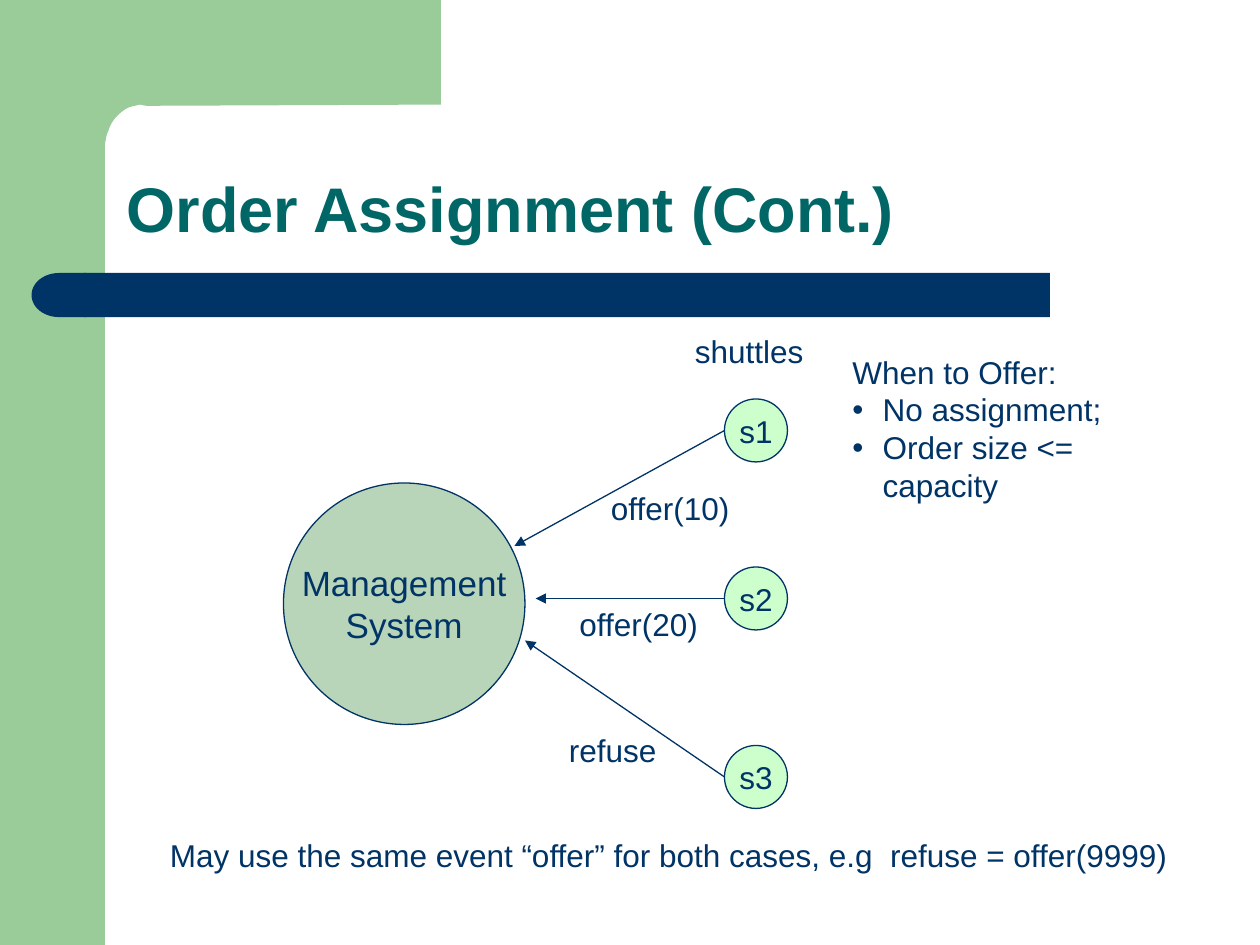
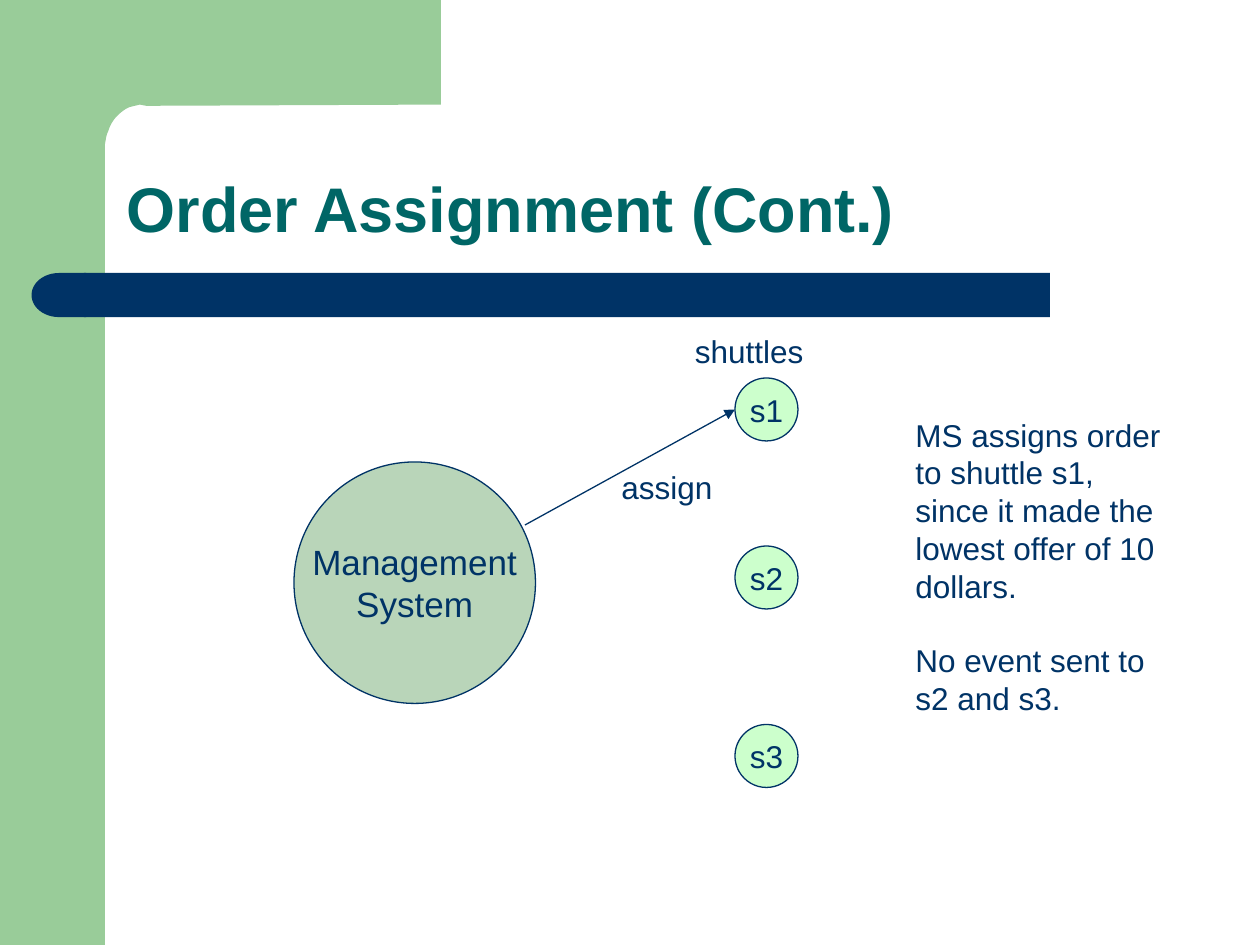
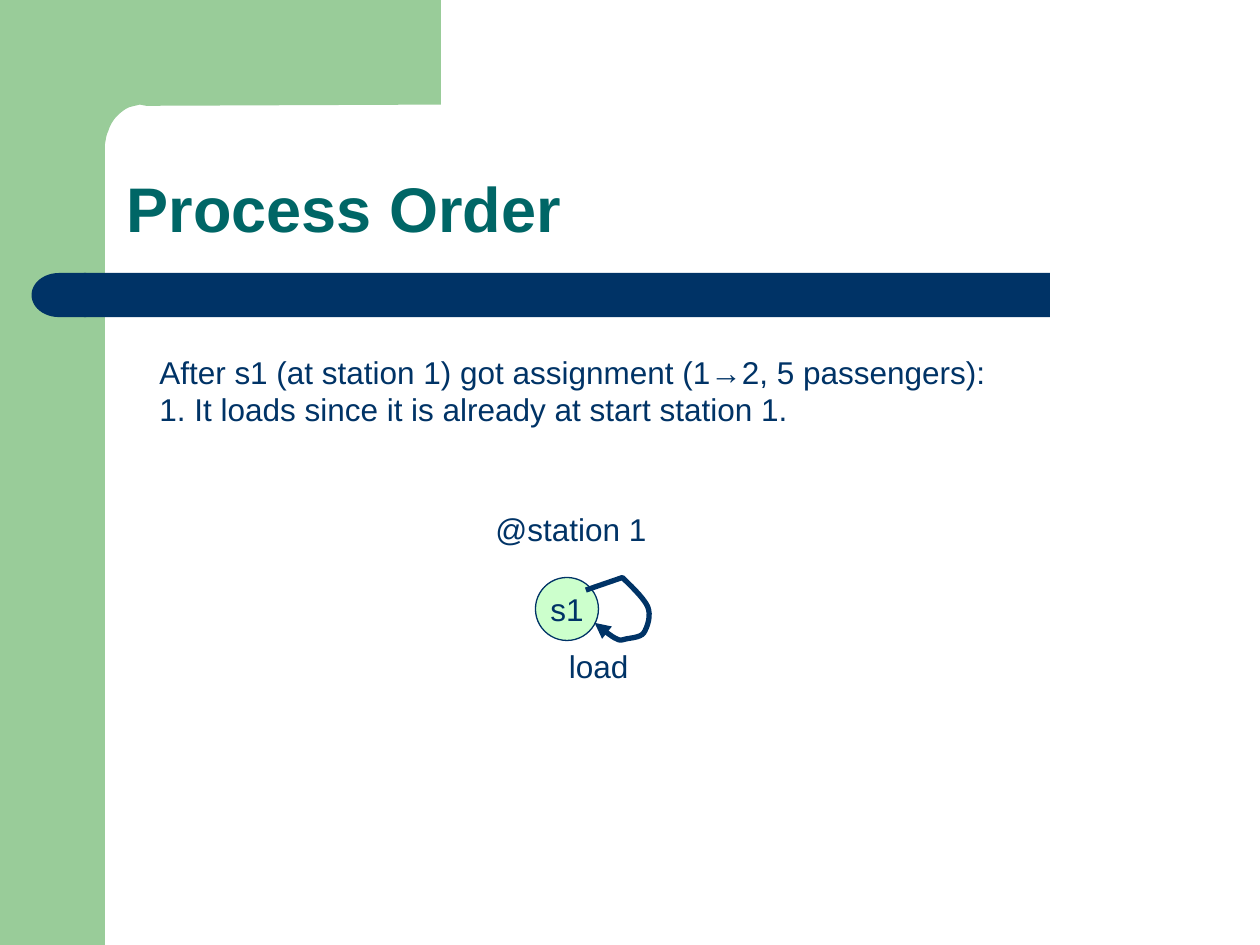
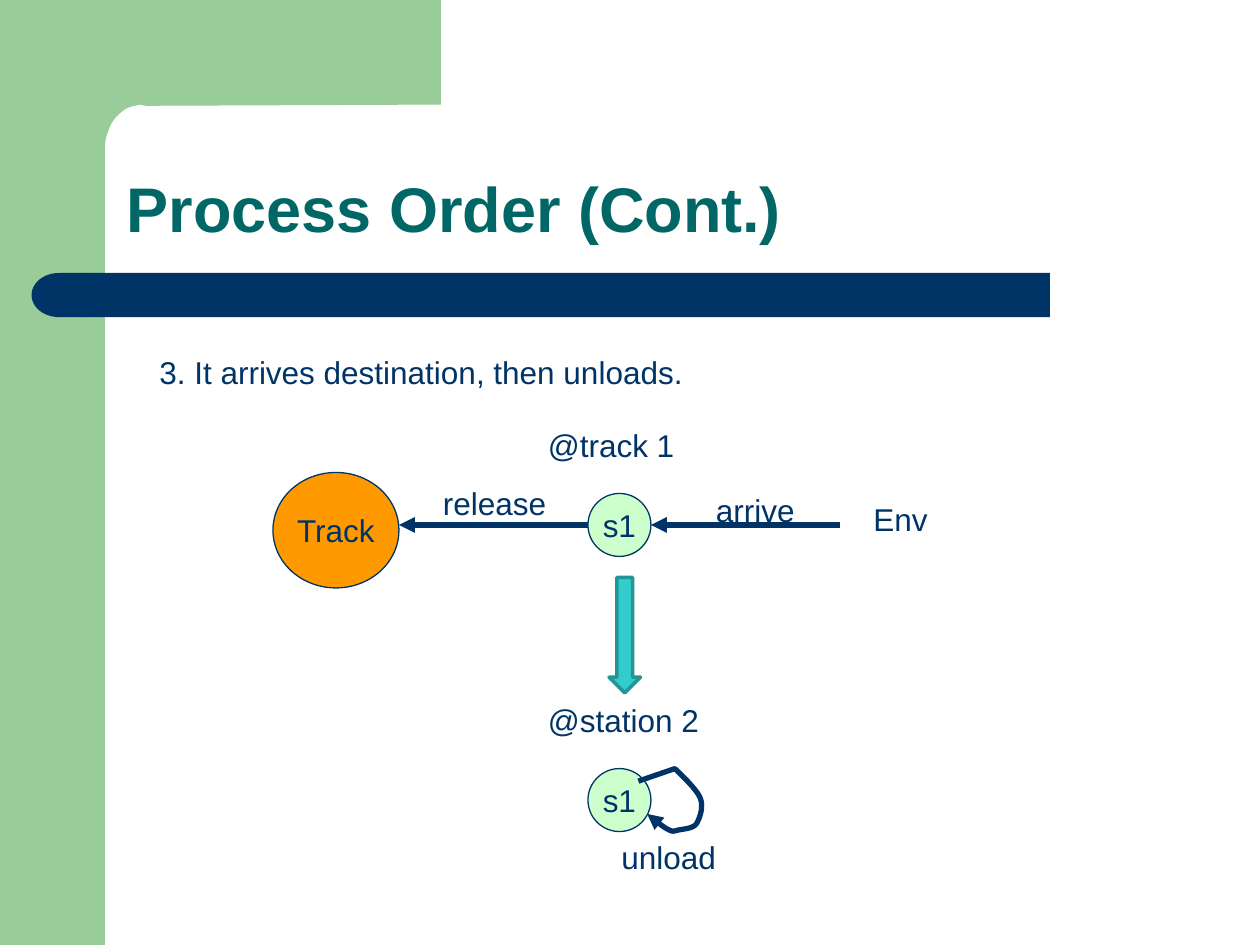
from lxml.etree import SubElement
from pptx import Presentation
from pptx.dml.color import RGBColor
from pptx.enum.shapes import MSO_CONNECTOR, MSO_SHAPE
from pptx.enum.text import MSO_ANCHOR, MSO_AUTO_SIZE, PP_ALIGN
from pptx.oxml.ns import qn
from pptx.util import Emu, Inches, Pt

NAVY = RGBColor(0x00, 0x33, 0x66)
TEAL = RGBColor(0x00, 0x66, 0x66)
GREEN = RGBColor(0x99, 0xCC, 0x99)
SAGE = RGBColor(0xB9, 0xD5, 0xB9)
MINT = RGBColor(0xCC, 0xFF, 0xCC)
ORANGE = RGBColor(0xFF, 0x99, 0x00)
CYAN = RGBColor(0x33, 0xCC, 0xCC)
DEEP = RGBColor(0x23, 0x95, 0x95)
FONT = "Arial"

WIDTH, HEIGHT = Inches(10), Inches(7.5)
COLS, ROWS = 120, 90
CELL = WIDTH / COLS
LINE = 4.8   # rows taken by one line of body text
DOT = 6      # size of a shuttle circle
HUB = 23     # size of the management circle

# Outlines in hundredths of an inch: a pair is a corner, a triple a Bezier curve.
CORNER = [(350, 0), (350, 83), (116, 84), (111, 83), (103, 85),
          ((100, 86), (96, 89), (93, 92)),
          ((90, 95), (87, 100), (86, 104)),
          ((84, 108), (84, 112), (83, 116)),
          (83, 128), (50, 128)] + [(50, 0)]
LOOP = [(40, 10), (69, 0),
        ((73, 4), (86, 16), (89, 23)),
        ((92, 30), (89, 39), (86, 44)),
        ((83, 48), (74, 48), (71, 49)),
        ((67, 50), (67, 50), (63, 48)),
        ((59, 46), (47, 36), (47, 36))]


def grid(*cells):
    return [Emu(round(n * CELL)) for n in cells]


def write(frame, lines, size=18, color=NAVY, bold=False, align=None, gap=0):
    """Put one paragraph per line, with a gap in points between them."""
    for i, line in enumerate(lines):
        para = frame.paragraphs[0] if i == 0 else frame.add_paragraph()
        para.alignment = align
        if i and gap:
            para.space_before = Pt(gap)
        run = para.add_run()
        run.text = line
        font = run.font
        font.name, font.size, font.bold = FONT, Pt(size), bold
        font.color.rgb = color


def label(slide, col, row, wide, *lines, gap=0):
    box = slide.shapes.add_textbox(*grid(col, row, wide, LINE * len(lines)))
    frame = box.text_frame
    frame.word_wrap = True
    frame.auto_size = MSO_AUTO_SIZE.SHAPE_TO_FIT_TEXT
    write(frame, lines, gap=gap)
    return frame


def paint(shape, fill=None, edge=None, weight=0.75):
    shape.shadow.inherit = False
    if fill is None:
        shape.fill.background()
    else:
        shape.fill.solid()
        shape.fill.fore_color.rgb = fill
    if edge is None:
        shape.line.fill.background()
    else:
        shape.line.color.rgb = edge
        shape.line.width = Pt(weight)


def form(slide, kind, box, fill, edge=None, weight=0.75):
    shape = slide.shapes.add_shape(kind, *grid(*box))
    paint(shape, fill, edge, weight)
    return shape


def disc(slide, box, fill, *lines, size=18):
    shape = form(slide, MSO_SHAPE.OVAL, box, fill, NAVY)
    frame = shape.text_frame
    frame.word_wrap = False
    frame.vertical_anchor = MSO_ANCHOR.MIDDLE
    write(frame, lines, size, align=PP_ALIGN.CENTER)


def tip(shape):
    """Put an arrowhead at the end of a line."""
    SubElement(shape.element.spPr.find(qn("a:ln")), qn("a:tailEnd"),
               type="triangle")


def arrow(slide, start, end, weight=0.75):
    link = slide.shapes.add_connector(MSO_CONNECTOR.STRAIGHT,
                                      *grid(*start, *end))
    link.line.color.rgb = NAVY
    link.line.width = Pt(weight)
    tip(link)
    SubElement(link.element.spPr, qn("a:effectLst"))


def trace(steps, parts=8):
    """Turn corners and Bezier curves into a list of points."""
    points = []
    for step in steps:
        if len(step) == 2:
            points.append(step)
            continue
        knots = (points[-1], *step)
        for i in range(1, parts + 1):
            t = i / parts
            mix = ((1 - t) ** 3, 3 * t * (1 - t) ** 2,
                   3 * t * t * (1 - t), t ** 3)
            points.append(tuple(sum(m * k[axis] for m, k in zip(mix, knots))
                                for axis in (0, 1)))
    return points


def outline(slide, steps, col=0, row=0, close=False):
    fine = 100
    points = [(x * fine, y * fine) for x, y in trace(steps)]
    pen = slide.shapes.build_freeform(*points[0],
                                      scale=Inches(1) / (100 * fine))
    pen.add_line_segments(points[1:], close=close)
    return pen.convert_to_shape(*grid(col, row))


def page(deck, title):
    """Add a slide with the green frame, the navy band and a title."""
    slide = deck.slides.add_slide(deck.slide_layouts[6])
    form(slide, MSO_SHAPE.RECTANGLE, (0, 0, 10, ROWS), GREEN)
    paint(outline(slide, CORNER, close=True), GREEN)
    band = form(slide, MSO_SHAPE.ROUNDED_RECTANGLE, (8, 26, 92, 4.2), NAVY)
    band.adjustments[0] = 0
    cap = form(slide, MSO_SHAPE.FLOWCHART_DELAY, (3, 26, 5.2, 4.2), NAVY)
    cap.rotation = 180
    box = slide.shapes.add_textbox(*grid(10.9, 10.9, 102.1, 13.1))
    frame = box.text_frame
    frame.word_wrap = True
    frame.vertical_anchor = MSO_ANCHOR.BOTTOM
    write(frame, [title], 36, TEAL, True)
    frame.paragraphs[0].line_spacing = 0.9
    return slide


def fleet(slide, col, row):
    """Draw the management system and its three shuttles."""
    for i, down in enumerate((0, 16, 33), 1):
        disc(slide, (col + 42, row + down, DOT, DOT), MINT, f"s{i}")
    disc(slide, (col, row + 8, HUB, HUB), SAGE, "Management", "System",
         size=20)
    label(slide, 65, 31, 14, "shuttles")


def halt(slide, col, row, place):
    """Draw shuttle s1 with the name of its place above."""
    disc(slide, (col, row, DOT, DOT), MINT, "s1")
    label(slide, col - 5, row - 7, 17, place)


def work(slide, col, row, place, task):
    """Draw a halted shuttle with a task that loops back to it."""
    halt(slide, col, row, place)
    loop = outline(slide, LOOP, col, row)
    paint(loop, edge=NAVY, weight=3)
    tip(loop)
    label(slide, col + 2, row + 6, 13, task)


def bullet(para):
    props = para._p.get_or_add_pPr()
    props.set("marL", str(Inches(0.24)))
    props.set("indent", str(-Inches(0.24)))
    SubElement(props, qn("a:buFont"), typeface=FONT)
    SubElement(props, qn("a:buChar"), char="•")


def offers(deck):
    slide = page(deck, "Order Assignment (Cont.)")
    col, row = 27, 38
    fleet(slide, col, row)
    replies = [("offer(10)", (30, 8), 3, (22, 14)),
               ("offer(20)", (27, 19), 19, (24, 19)),
               ("refuse", (26, 31), 36, (23, 23))]
    for text, (x, y), start, (across, down) in replies:
        arrow(slide, (col + 42, row + start), (col + across, row + down))
        label(slide, col + x, row + y, 16, text)
    frame = label(slide, 80, 33, 34, "When to Offer:", "No assignment;",
                  "Order size <= capacity")
    for para in frame.paragraphs[1:]:
        bullet(para)
    label(slide, 15, 79, 99, "May use the same event “offer” for both cases, "
          "e.g  refuse = offer(9999)")


def assign(deck):
    slide = page(deck, "Order Assignment (Cont.)")
    col, row = 28, 36
    fleet(slide, col, row)
    arrow(slide, (col + 22, row + 14), (col + 42, row + 3))
    label(slide, col + 30, row + 8, 15, "assign")
    label(slide, 86, 39, 27, "MS assigns order to shuttle s1, since it made "
          "the lowest offer of 10 dollars.", "No event sent to s2 and s3.",
          gap=20.7)


def load(deck):
    slide = page(deck, "Process Order")
    label(slide, 14, 33, 90,
          "After s1 (at station 1) got assignment (1→2, 5 passengers):",
          "1. It loads since it is already at start station 1.")
    work(slide, 51, 55, "@station 1", "load")


def unload(deck):
    slide = page(deck, "Process Order (Cont.)")
    label(slide, 14, 33, 91, "3. It arrives destination, then unloads.")
    col, row = 56, 47
    mid = row + DOT / 2
    halt(slide, col, row, "@track 1")
    disc(slide, (col - 30, row - 2, 12, 11), ORANGE, "Track")
    for start, end in ((col, col - 18), (col + 24, col + DOT)):
        arrow(slide, (start, mid), (end, mid), 3)
    label(slide, col - 15, row - 1.5, 15, "release")
    label(slide, col + 11, row - 0.8, 14, "arrive")
    label(slide, col + 26, row, 13, "Env")
    work(slide, col, row + 26.2, "@station 2", "unload")
    form(slide, MSO_SHAPE.DOWN_ARROW, (col + 2, row + 8, 3, 11), CYAN, DEEP, 2)


def main():
    deck = Presentation()
    deck.slide_width, deck.slide_height = WIDTH, HEIGHT
    for build in (offers, assign, load, unload):
        build(deck)
    deck.save("out.pptx")


if __name__ == "__main__":
    main()
